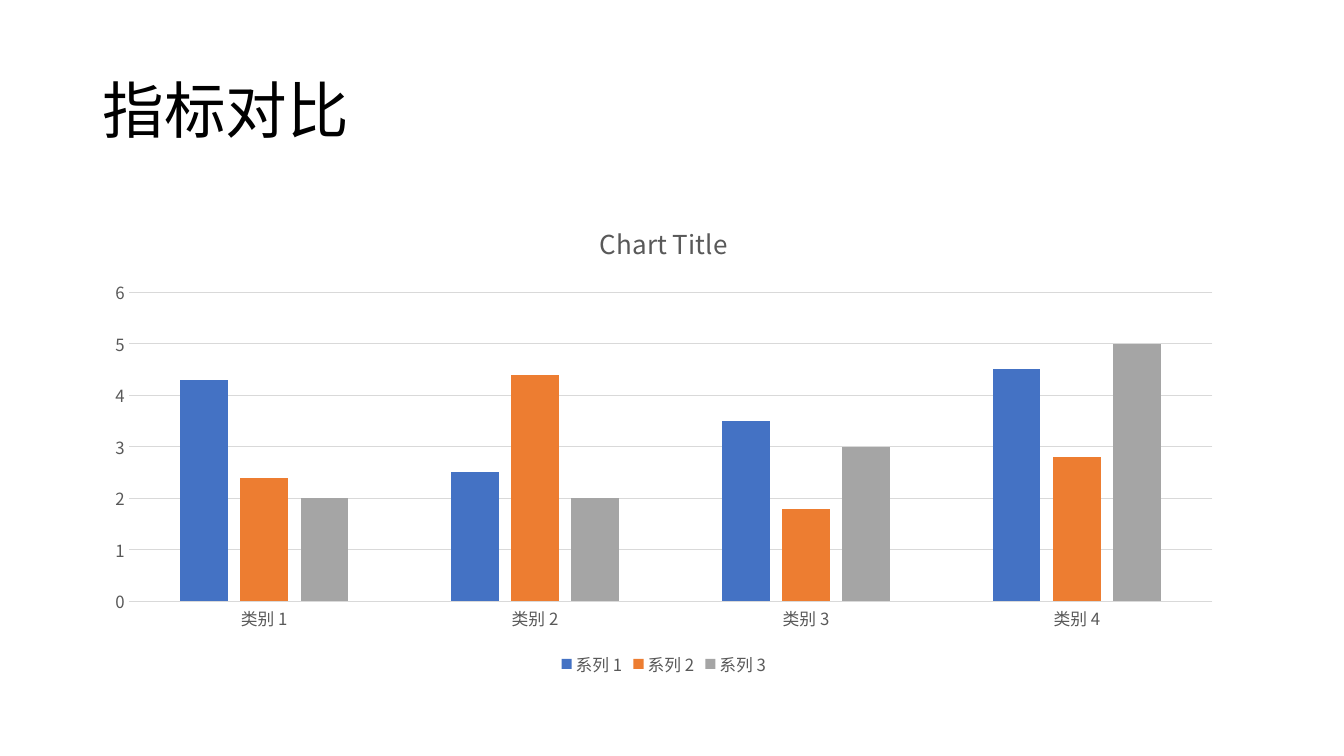
from copy import deepcopy

from pptx import Presentation
from pptx import util as u
from pptx.chart.data import CategoryChartData
from pptx.dml.color import RGBColor
from pptx.enum import chart as charts, text
from pptx.oxml.ns import qn

FONT = "Noto Sans CJK SC"
GREY, RULE = "595959", "D9D9D9"
TITLE = "指标对比"
CHART_TITLE = "Chart Title"
CATEGORIES = ["类别 1", "类别 2", "类别 3", "类别 4"]
SERIES = [
    ("系列 1", "4472C4", (4.3, 2.5, 3.5, 4.5)),
    ("系列 2", "ED7D31", (2.4, 4.4, 1.8, 2.8)),
    ("系列 3", "A5A5A5", (2, 2, 3, 5)),
]
TITLE_BOX = [u.Cm(n) for n in (2.33, 1.01, 29.21, 3.68)]
CHART_BOX = [u.Cm(n) for n in (2.33, 5.08, 28.8, 12.07)]


def color(value):
    """Turn a hex string into a colour."""
    return RGBColor.from_string(value)


def format_font(font, size, fill=GREY):
    """Set typeface, size and colour, without bold."""
    font.name, font.size, font.bold = FONT, u.Pt(size), False
    font.color.rgb = color(fill)


def write(frame, words, size, fill=GREY, spacing=None):
    """Fill a text frame with one formatted paragraph."""
    frame.text = words
    paragraph = frame.paragraphs[0]
    paragraph.line_spacing = spacing
    format_font(paragraph.runs[0].font, size, fill)


def use_east_asian_font(element):
    """Repeat every Latin typeface for East Asian characters."""
    for latin in list(element.iter(qn("a:latin"))):
        east_asian = deepcopy(latin)
        east_asian.tag = qn("a:ea")
        latin.addnext(east_asian)


def draw_rule(line):
    """Give an axis or gridline the thin grey stroke."""
    line.color.rgb, line.width = color(RULE), u.Pt(0.75)


def add_title(slide):
    """Place and format the slide title."""
    title = slide.shapes.title
    title.left, title.top, title.width, title.height = TITLE_BOX
    frame = title.text_frame
    frame.vertical_anchor = text.MSO_ANCHOR.MIDDLE
    frame.word_wrap = True
    write(frame, TITLE, 44, fill="000000", spacing=0.9)
    frame.paragraphs[0].alignment = text.PP_ALIGN.LEFT
    use_east_asian_font(title.element)


def add_column_chart(slide):
    """Add the clustered columns with title, axes and legend."""
    data = CategoryChartData()
    data.categories = CATEGORIES
    for name, _, values in SERIES:
        data.add_series(name, values)
    kind = charts.XL_CHART_TYPE.COLUMN_CLUSTERED
    chart = slide.shapes.add_chart(kind, *CHART_BOX, data).chart
    format_font(chart.font, 10, "000000")

    chart.has_title = True
    write(chart.chart_title.text_frame, CHART_TITLE, 18.6)
    chart.chart_title.include_in_layout = False

    chart.has_legend = True
    chart.legend.position = charts.XL_LEGEND_POSITION.BOTTOM
    chart.legend.include_in_layout = False
    format_font(chart.legend.font, 12)

    for axis in (chart.category_axis, chart.value_axis):
        axis.major_tick_mark = axis.minor_tick_mark = charts.XL_TICK_MARK.NONE
        format_font(axis.tick_labels.font, 12)
    draw_rule(chart.category_axis.format.line)
    chart.value_axis.format.line.fill.background()
    draw_rule(chart.value_axis.major_gridlines.format.line)

    plot = chart.plots[0]
    plot.gap_width, plot.overlap = 219, -27
    plot.vary_by_categories = False
    for series, (_, fill, _) in zip(plot.series, SERIES):
        series.format.fill.solid()
        series.format.fill.fore_color.rgb = color(fill)
        series.invert_if_negative = False
    use_east_asian_font(chart.element)


presentation = Presentation()
presentation.slide_width, presentation.slide_height = u.Cm(33.87), u.Cm(19.05)
slide = presentation.slides.add_slide(presentation.slide_layouts[5])
add_title(slide)
add_column_chart(slide)
presentation.save("out.pptx")
